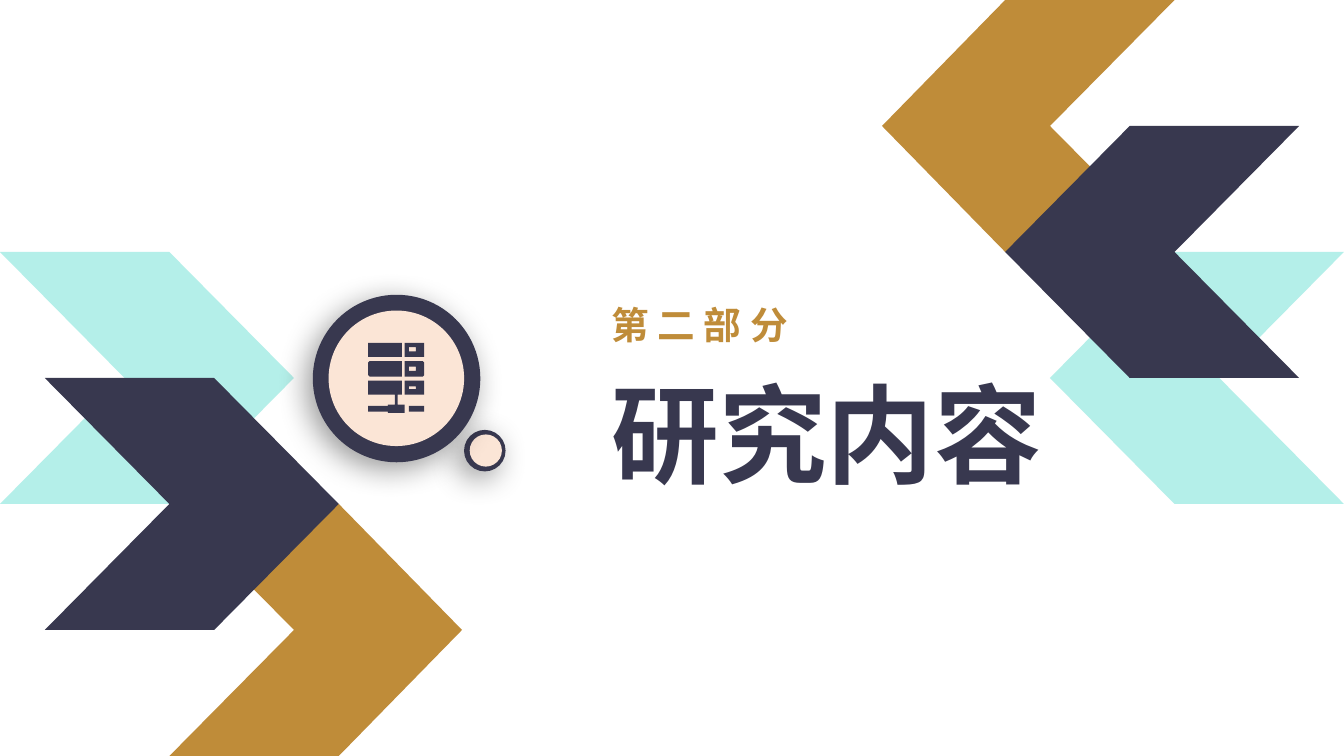
from math import cos, sin, pi
from pptx import Presentation
from pptx.dml.color import RGBColor
from pptx.enum.shapes import MSO_SHAPE
from pptx.enum.text import MSO_ANCHOR
from pptx.oxml import parse_xml
from pptx.oxml.ns import nsdecls, qn
from pptx.util import Pt

THEME = {
    "navy": "38384F", "gold": "BF8C39", "mint": "B4EFE9", "peach": "FBE5D6",
    "font": "Noto Sans CJK SC", "part": 26.9, "title": 76.8,
}
TEXTS = [
    ("第 二 部 分", "part", "gold", (429.8, 211.7, 245.5, 39.6)),
    ("研究内容", "title", "navy", (429.8, 259.2, 520, 99.4)),
]
WIDE, HIGH = 960, 540
ARM, TIP, HALF = 120.8, 88.9, 90
ARROWS = [("mint", 0, 180), ("gold", ARM, 360), ("navy", ARM - TIP, 270)]
BADGES = [
    ((332.6, 308.2, 27.4), (335.5, 310.3, 23)),
    ((224.6, 211.7, 117.4), (234.7, 221.8, 96.8)),
]
ROWS, TOP, STEP, TALL, ROUND = 3, 244.6, 13.5, 10.8, 1.6
LEFT, MID, GAP, RIGHT = 262.8, 286.6, 289.4, 303.1
STEM = [
    (281.5, TOP + STEP * 2 + TALL), (284.4, TOP + STEP * 2 + TALL),
    (284.4, 288.7), (GAP, 288.7), (GAP, 295.2), (277.2, 295.2),
    (277.2, 293.8), (LEFT, 293.8), (LEFT, 290.2), (277.2, 290.2),
    (277.2, 288.7), (281.5, 288.7),
]


def tone(name):
    return RGBColor.from_string(THEME[name])


def paint(shape, name):
    shape.shadow.inherit = False
    shape.fill.solid()
    shape.fill.fore_color.rgb = tone(name)
    shape.line.fill.background()


def outline(shapes, loops, name):
    first = loops[0]
    pen = shapes.build_freeform(*first[0], scale=float(Pt(1)))
    pen.add_line_segments(first[1:], close=True)
    for loop in loops[1:]:
        pen.move_to(*loop[0])
        pen.add_line_segments(loop[1:], close=True)
    paint(pen.convert_to_shape(), name)


def arrow(x, y, turn):
    dots = [(0, 0), (ARM, 0), (ARM + TIP, HALF), (ARM, 2 * HALF),
            (0, 2 * HALF), (TIP, HALF)]
    dots = [(x + a, y + b) for a, b in dots]
    return [(WIDE - a, HIGH - b) for a, b in dots] if turn else dots


def block(x, y, w, h):
    return [(x, y), (x + w, y), (x + w, y + h), (x, y + h)]


def cell(flat, edge, top):
    side = 1 if edge > flat else -1
    turns = [n * pi / 8 for n in range(5)]
    arc = [(edge - side * ROUND * (1 - sin(t)), ROUND * (1 - cos(t)))
           for t in turns]
    upper = [(x, top + d) for x, d in arc]
    lower = [(x, top + TALL - d) for x, d in reversed(arc)]
    return [(flat, top)] + upper + lower + [(flat, top + TALL)]


def disc(shapes, spot, name):
    x, y, size = spot
    shape = shapes.add_shape(MSO_SHAPE.OVAL, Pt(x), Pt(y), Pt(size), Pt(size))
    paint(shape, name)
    return shape


def shade(shape):
    props = shape._element.spPr
    props.remove(props.find(qn("a:effectLst")))
    props.append(parse_xml(
        f'<a:effectLst {nsdecls("a")}><a:outerShdw blurRad="{Pt(22)}" '
        f'dist="{Pt(7)}" dir="8100000" algn="tr" rotWithShape="0">'
        '<a:srgbClr val="000000"><a:alpha val="40000"/></a:srgbClr>'
        '</a:outerShdw></a:effectLst>'))


def label(shapes, text, size, name, spot):
    frame = shapes.add_textbox(*map(Pt, spot)).text_frame
    for key, val in {"word_wrap": True,
                     "vertical_anchor": MSO_ANCHOR.MIDDLE}.items():
        setattr(frame, key, val)
    run = frame.paragraphs[0].add_run()
    run.text = text
    for key, val in {"size": Pt(THEME[size]), "bold": True,
                     "name": THEME["font"]}.items():
        setattr(run.font, key, val)
    run.font.color.rgb = tone(name)
    run._r.get_or_add_rPr().append(parse_xml(
        f'<a:ea {nsdecls("a")} typeface="{THEME["font"]}"/>'))


def main():
    deck = Presentation()
    deck.slide_width, deck.slide_height = Pt(WIDE), Pt(HIGH)
    shapes = deck.slides.add_slide(deck.slide_layouts[6]).shapes
    for turn in (True, False):
        for name, x, y in ARROWS:
            outline(shapes, [arrow(x, y, turn)], name)
    for item in TEXTS:
        label(shapes, *item)
    for ring, core in BADGES:
        badge = shapes.add_group_shape().shapes
        rim = disc(badge, ring, "navy")
        rim.line.color.rgb = tone("navy")
        rim.line.width = Pt(2.25)
        shade(rim)
        disc(badge, core, "peach")
    loops = [STEM, block(291.6, 290.2, 11.5, 3.6)]
    for row in range(ROWS):
        top = TOP + row * STEP
        loops += [cell(MID, LEFT, top), cell(GAP, RIGHT, top),
                  block(292.3, top + 3.9, 5.1, 2.7)]
    outline(badge, loops, "navy")
    deck.save("out.pptx")


if __name__ == "__main__":
    main()
